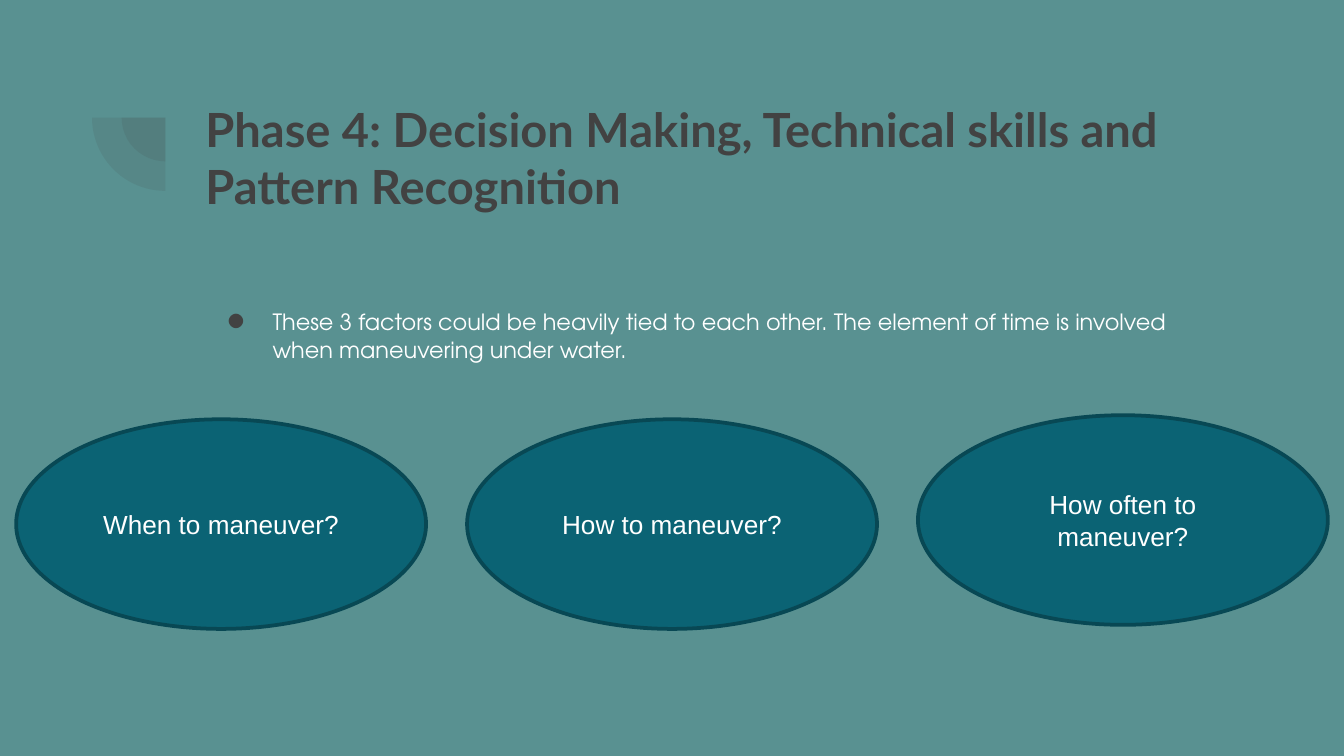
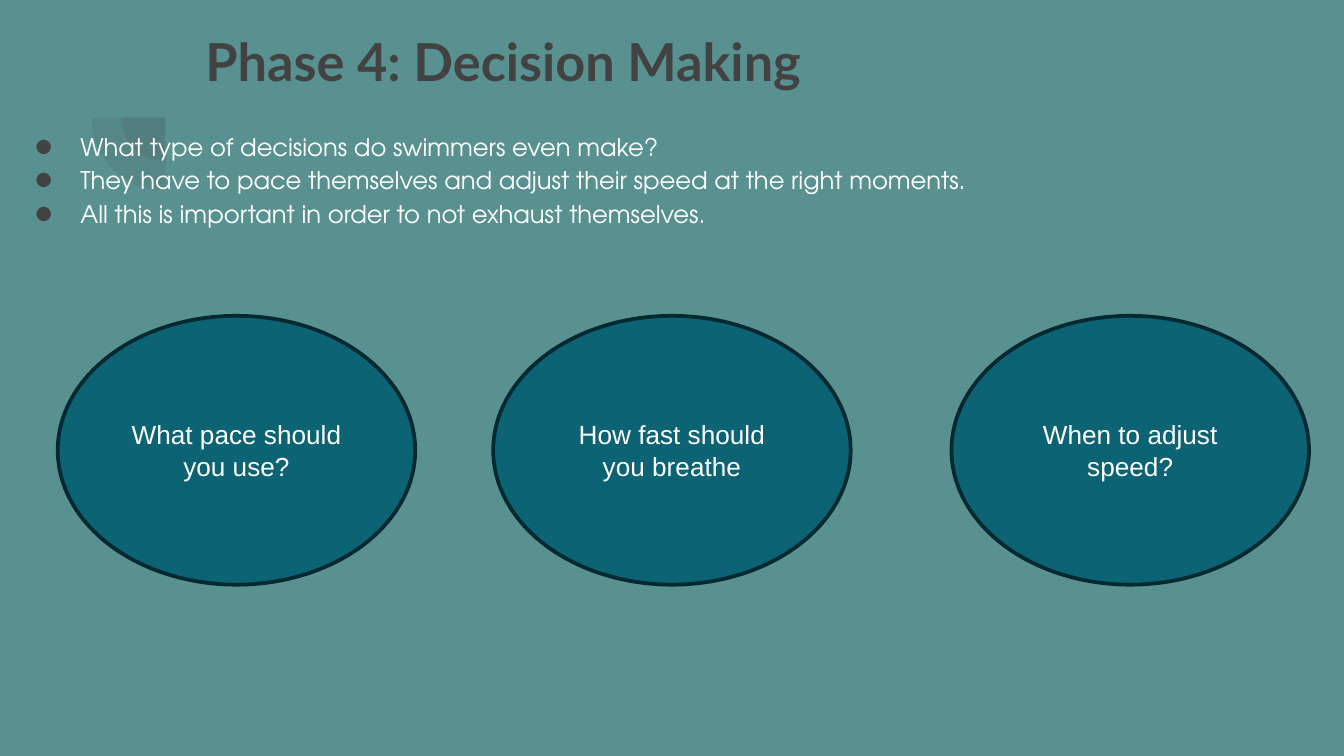
"""Build two slides on phase 4 of swimming: decisions, skills and patterns."""
from lxml.etree import SubElement
from pptx import Presentation
from pptx.dml.color import RGBColor
from pptx.enum.shapes import MSO_SHAPE
from pptx.enum.text import MSO_ANCHOR, PP_ALIGN
from pptx.oxml.ns import qn
from pptx.util import Inches, Pt

SEA = RGBColor(0x59, 0x91, 0x91)
GREY = RGBColor(0x42, 0x42, 0x42)
WHITE = RGBColor(0xFF, 0xFF, 0xFF)
TEAL = RGBColor(0x0B, 0x63, 0x74)
DEEP = RGBColor(0x08, 0x48, 0x54)
DARK = RGBColor(0x04, 0x29, 0x30)

deck = Presentation()
deck.slide_width, deck.slide_height = Inches(10), Inches(5.625)
COL, ROW = deck.slide_width / 100, deck.slide_height / 100


def place(x, y, w, h):
    """Turn percent of the slide into lengths."""
    return int(x * COL), int(y * ROW), int(w * COL), int(h * ROW)


def write(shape, lines, size, font, color, bold=False, align=PP_ALIGN.LEFT,
          anchor=MSO_ANCHOR.TOP, pad=0.1, space=1.0, bullet=None):
    """Fill a shape with formatted paragraphs; bullet is a size in percent."""
    frame = shape.text_frame
    frame.word_wrap = True
    frame.vertical_anchor = anchor
    frame.margin_left = frame.margin_right = Inches(0.1)
    frame.margin_top = frame.margin_bottom = Inches(pad)
    for i, line in enumerate(lines):
        para = frame.add_paragraph() if i else frame.paragraphs[0]
        para.alignment, para.line_spacing = align, space
        if bullet:
            props = para._p.get_or_add_pPr()
            props.set("marL", str(Inches(0.5)))
            props.set("indent", str(Inches(-0.34)))
            tint = SubElement(props, qn("a:buClr"))
            SubElement(tint, qn("a:srgbClr"), val=str(GREY))
            SubElement(props, qn("a:buSzPct"), val=str(bullet * 1000))
            SubElement(props, qn("a:buFont"), typeface=font)
            SubElement(props, qn("a:buChar"), char="●")
        run = para.add_run()
        run.text = line
        run.font.size, run.font.name, run.font.bold = Pt(size), font, bold
        run.font.color.rgb = color


pages = [
    dict(title="Phase 4: Decision Making, Technical skills and Pattern Recognition",
         top=11.56, size=25.2,
         body=["These 3 factors could be heavily tied to each other. The element of "
               "time is involved when maneuvering under water."],
         box=(14.3, 38.76, 76.9, 11.38), text=12, space=1.05, bullet=108,
         edge=DEEP, oval=(30.5, 27.73),
         spots=[("When to maneuver?", 1.2, 55.47),
                ("How to maneuver?", 34.75, 55.47),
                ("How often to maneuver?", 68.3, 54.93)]),
    dict(title="Phase 4: Decision Making", top=2.13, size=28,
         body=["What type of decisions do swimmers even make?",
               "They have to pace themselves and adjust their speed at the right moments.",
               "All this is important in order to not exhaust themselves."],
         box=(0, 15.11, 93.1, 29.51), text=13, space=1.15, bullet=100,
         edge=DARK, oval=(26.6, 35.56),
         spots=[("What pace should you use?", 4.3, 41.78),
                ("How fast should you breathe", 36.7, 41.78),
                ("When to adjust speed?", 70.8, 41.78)]),
]

for page in pages:
    slide = deck.slides.add_slide(deck.slide_layouts[6])
    slide.background.fill.solid()
    slide.background.fill.fore_color.rgb = SEA
    shapes = slide.shapes

    for wide in (6.5, 10.9):
        high = wide * COL / ROW
        pie = shapes.add_shape(
            MSO_SHAPE.PIE, *place(12.3 - wide / 2, 15.56 - high / 2, wide, high))
        pie.adjustments[0], pie.adjustments[1] = 108, 162
        pie.rotation = 270
        pie.shadow.inherit = False
        pie.line.fill.background()
        pie.fill.solid()
        pie.fill.fore_color.rgb = GREY
        tint = pie._element.spPr.find(".//" + qn("a:srgbClr"))
        SubElement(tint, qn("a:alpha"), val="12000")

    title = shapes.add_textbox(*place(14.3, page["top"], 76.9, 19.38))
    write(title, [page["title"]], page["size"], "Lato", GREY, bold=True)

    body = shapes.add_textbox(*place(*page["box"]))
    write(body, page["body"], page["text"], "TeX Gyre Adventor", WHITE,
          space=page["space"], bullet=page["bullet"])

    for label, left, top in page["spots"]:
        oval = shapes.add_shape(MSO_SHAPE.OVAL, *place(left, top, *page["oval"]))
        oval.shadow.inherit = False
        oval.fill.solid()
        oval.fill.fore_color.rgb = TEAL
        oval.line.color.rgb = page["edge"]
        oval.line.width = Pt(2)
        write(oval, [label], 14, "Arial", WHITE, align=PP_ALIGN.CENTER,
              anchor=MSO_ANCHOR.MIDDLE, pad=0.05)

deck.save("out.pptx")
